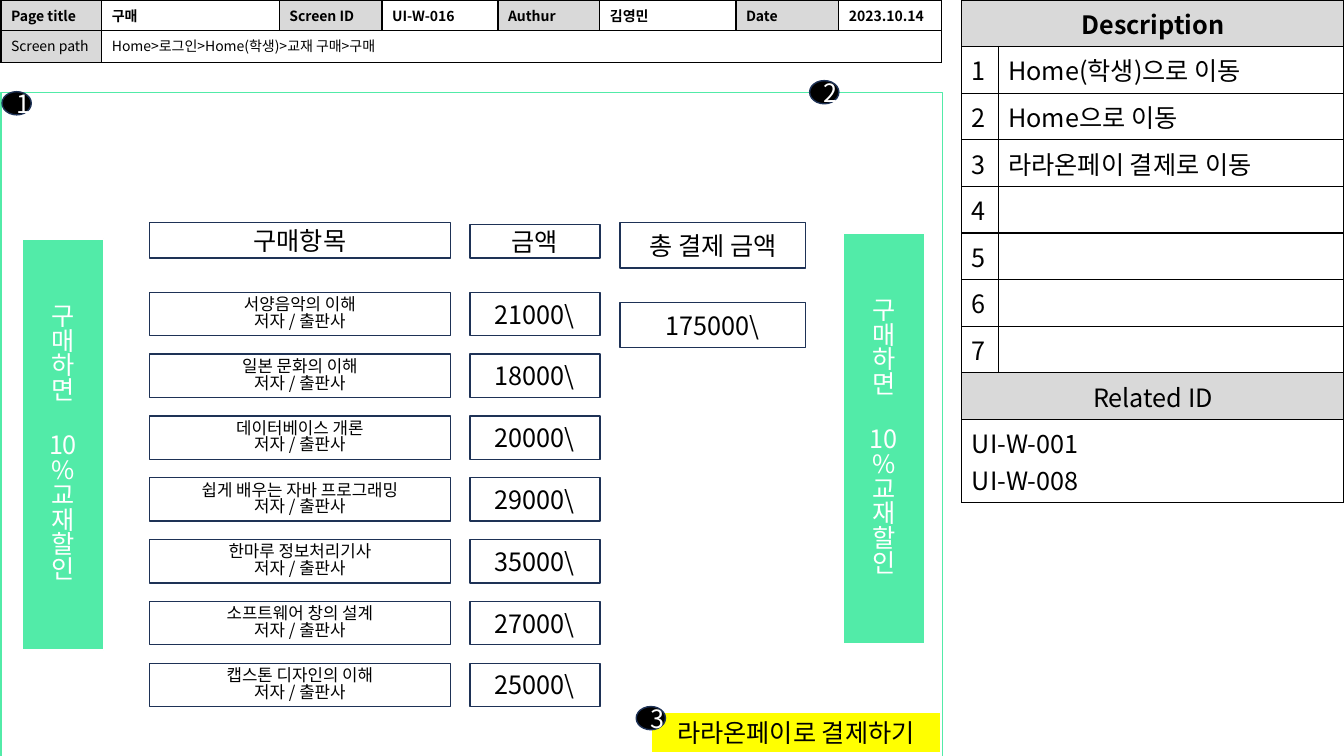
from lxml.etree import SubElement
from pptx import Presentation
from pptx.dml.color import RGBColor
from pptx.enum.shapes import MSO_SHAPE as Preset
from pptx.enum.text import MSO_ANCHOR as Anchor, PP_ALIGN as Align
from pptx.oxml.ns import qn
from pptx.util import Inches, Pt

FONT = "Noto Sans CJK KR"
BLACK = RGBColor(0x00, 0x00, 0x00)
WHITE = RGBColor(0xFF, 0xFF, 0xFF)
GREY = RGBColor(0xD9, 0xD9, 0xD9)
MINT = RGBColor(0x52, 0xEB, 0xA8)
YELLOW = RGBColor(0xFF, 0xFF, 0x00)
NAVY = RGBColor(0x1E, 0x32, 0x56)

BOOKS = [
    ("서양음악의 이해", 21000),
    ("일본 문화의 이해", 18000),
    ("데이터베이스 개론", 20000),
    ("쉽게 배우는 자바 프로그래밍", 29000),
    ("한마루 정보처리기사", 35000),
    ("소프트웨어 창의 설계", 27000),
    ("캡스톤 디자인의 이해", 25000),
]
ACTIONS = ["Home(학생)으로 이동", "Home으로 이동", "라라온페이 결제로 이동", "", "", "", ""]
HEADER = ["Page title", "구매", "Screen ID", "UI-W-016", "Authur", "김영민", "Date", "2023.10.14"]


def write(frame, text, size=18, color=BLACK, bold=False, align=Align.LEFT, spacing=None):
    for index, line in enumerate(text.split("\n")):
        para = frame.add_paragraph() if index else frame.paragraphs[0]
        para.alignment = align
        if spacing:
            para.line_spacing = spacing
        span = para.add_run()
        span.text = line
        span.font.name = FONT
        span.font.size = Pt(size)
        span.font.bold = bold
        span.font.color.rgb = color
        SubElement(span.font._element, qn("a:ea"), typeface=FONT)


def add_box(shapes, box, text="", preset=Preset.RECTANGLE, fill=WHITE, line=NAVY, **style):
    shape = shapes.add_shape(preset, *map(Inches, box))
    shape.shadow.inherit = False
    shape.fill.solid()
    shape.fill.fore_color.rgb = fill
    shape.line.color.rgb = line
    shape.line.width = Pt(1)
    if text:
        shape.text_frame.vertical_anchor = Anchor.MIDDLE
        write(shape.text_frame, text, align=Align.CENTER, **style)
    return shape


def add_marker(page, left, top, number):
    add_box(page.shapes, (left, top, 0.29, 0.23), str(number), Preset.OVAL, BLACK, color=WHITE)


def add_grid(page, box, widths, heights):
    frame = page.shapes.add_table(len(heights), len(widths), *map(Inches, box))
    table = frame.table
    table.first_row = table.horz_banding = False
    for column, width in zip(table.columns, widths):
        column.width = Inches(width)
    for row, height in zip(table.rows, heights):
        row.height = Inches(height)
    for cell in table.iter_cells():
        properties = cell._tc.get_or_add_tcPr()
        for side in ("lnL", "lnR", "lnT", "lnB"):
            border = SubElement(properties, qn("a:" + side), w=str(Pt(1)))
            solid = SubElement(border, qn("a:solidFill"))
            SubElement(solid, qn("a:srgbClr"), val=str(BLACK))
        paint(cell, WHITE)
    return table


def paint(cell, color):
    cell.fill.solid()
    cell.fill.fore_color.rgb = color


def add_header(page, box):
    table = add_grid(page, box, [1, 1.76, 1.02, 1.15, 1.01, 1.35, 1.02, 1.02], [0.21, 0.32])
    for column, text in enumerate(HEADER):
        cell = table.cell(0, column)
        paint(cell, WHITE if column % 2 else GREY)
        write(cell.text_frame, text, size=10, bold=True)
    table.cell(1, 1).merge(table.cell(1, 7))
    paint(table.cell(1, 0), GREY)
    write(table.cell(1, 0).text_frame, "Screen path", size=10)
    write(table.cell(1, 1).text_frame, "Home>로그인>Home(학생)>교재 구매>구매", size=10)


def add_description(page, box):
    table = add_grid(page, box, [0.36, 3.43], [0.41] * 10)
    for row, text, bold in ((0, "Description", True), (8, "Related ID", False)):
        table.cell(row, 0).merge(table.cell(row, 1))
        paint(table.cell(row, 0), GREY)
        write(table.cell(row, 0).text_frame, text, bold=bold, align=Align.CENTER)
    for number, action in enumerate(ACTIONS, 1):
        write(table.cell(number, 0).text_frame, str(number))
        if action:
            write(table.cell(number, 1).text_frame, action)
    table.cell(9, 0).merge(table.cell(9, 1))
    write(table.cell(9, 0).text_frame, "UI-W-001\nUI-W-008")


def add_order_list(page, box):
    left, top, width, height = box
    price_left, price_width, row_height = left + 3.18, 1.29, 0.43
    item_width = 2.99
    first_row = top + 0.69
    pitch = (top + height - row_height - first_row) / (len(BOOKS) - 1)
    shapes = page.shapes.add_group_shape().shapes
    add_box(shapes, (price_left, top + 0.02, price_width, 0.33), "금액")
    add_box(shapes, (left, top, item_width, 0.35), "구매항목")
    for index, (title, price) in enumerate(BOOKS):
        row_top = first_row + index * pitch
        add_box(shapes, (left, row_top, item_width, row_height),
                f"{title}\n저자 / 출판사", size=12, spacing=0.83)
        add_box(shapes, (price_left, row_top, price_width, row_height), f"{price}\\")


def add_total(page, box):
    left, top, width, height = box
    shapes = page.shapes.add_group_shape().shapes
    add_box(shapes, (left, top, width, 0.45), "총 결제 금액")
    total = sum(price for title, price in BOOKS)
    add_box(shapes, (left, top + height - 0.45, width, 0.45), f"{total}\\")


def add_banner(page, box):
    letters = [*"구매하면", "10", *"%교재할인"]
    banner = add_box(page.shapes, box, "\n".join(letters), fill=MINT, line=WHITE,
                     color=WHITE, spacing=0.82)
    banner.text_frame.paragraphs[letters.index("10")].space_before = Pt(21.5)


def main():
    deck = Presentation()
    deck.slide_width, deck.slide_height = Inches(13.33), Inches(7.5)
    page = deck.slides.add_slide(deck.slide_layouts[6])
    add_box(page.shapes, (0.01, 0.92, 9.34, 6.7), line=MINT)
    add_box(page.shapes, (6.46, 7.07, 2.87, 0.4), "라라온페이로 결제하기", fill=YELLOW, line=WHITE)
    add_description(page, (9.54, 0, 3.78, 4.35))
    add_header(page, (0.01, 0, 9.33, 0.58))
    add_marker(page, 8.03, 0.8, 2)
    add_marker(page, 6.31, 7.01, 3)
    add_order_list(page, (1.48, 2.21, 4.47, 4.8))
    add_total(page, (6.15, 2.21, 1.84, 1.24))
    add_marker(page, 0.02, 0.91, 1)
    add_banner(page, (0.22, 2.37, 0.81, 4.08))
    add_banner(page, (8.36, 2.31, 0.81, 4.08))
    deck.save("out.pptx")


if __name__ == "__main__":
    main()
